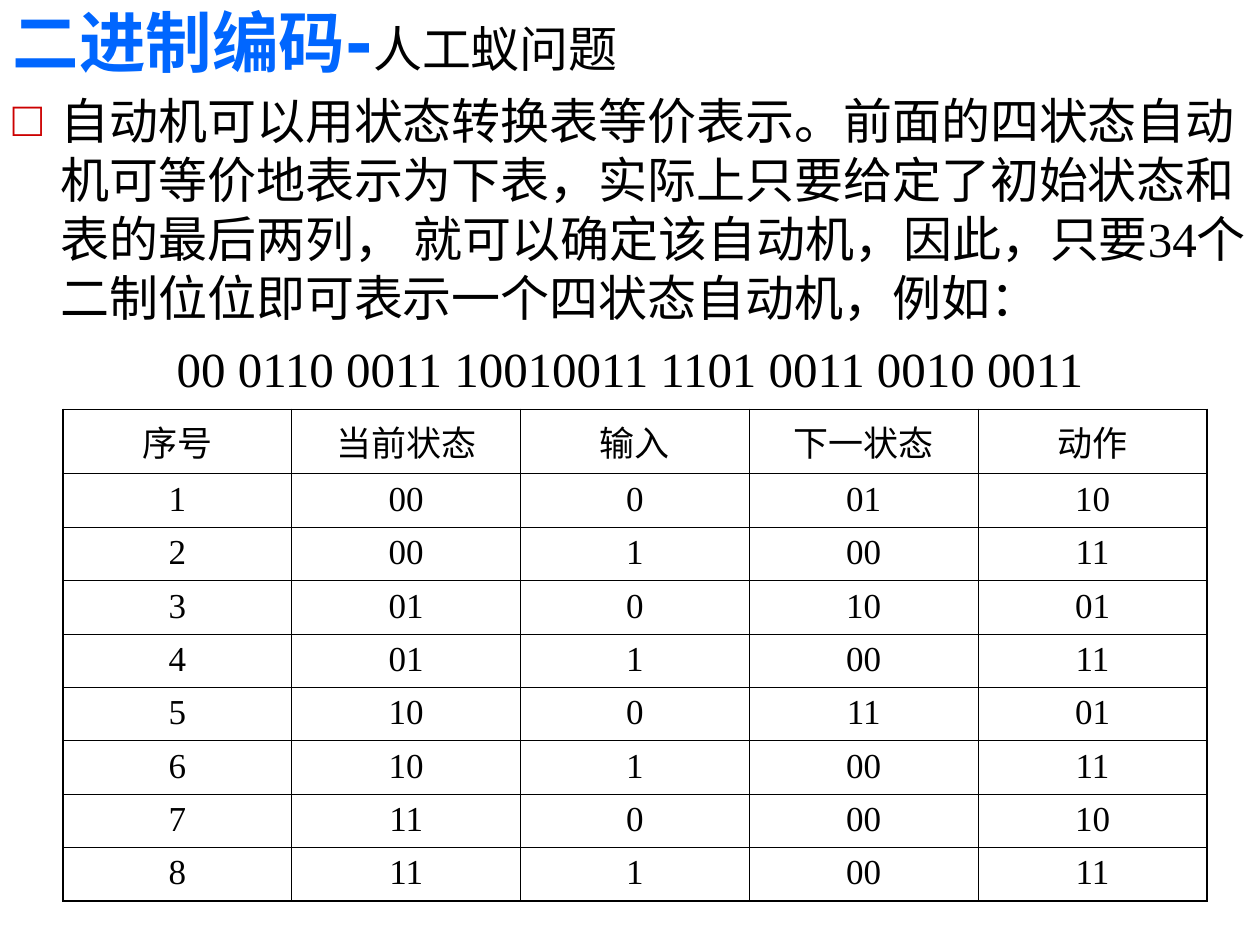
from lxml import etree
from pptx import Presentation
from pptx.dml.color import RGBColor
from pptx.enum.text import MSO_ANCHOR, MSO_AUTO_SIZE, PP_ALIGN
from pptx.oxml.ns import qn
from pptx.util import Inches, Pt

LEFT, CENTER = PP_ALIGN.LEFT, PP_ALIGN.CENTER
TOP, BOTTOM = MSO_ANCHOR.TOP, MSO_ANCHOR.BOTTOM
NO_AUTOFIT = MSO_AUTO_SIZE.NONE

COLORS = {"heading": "0066FF", "text": "000000", "bullet": "CC0000", "border": "000000"}
HEADING_FONT, TEXT_FONT = "DejaVu Sans", "Times New Roman"

HEADING = "二进制编码-"
TOPIC = "人工蚁问题"
EXPLANATION = (
    "自动机可以用状态转换表等价表示。前面的四状态自动机可等价地表示为下表，"
    "实际上只要给定了初始状态和表的最后两列， 就可以确定该自动机，因此，"
    "只要34个二制位位即可表示一个四状态自动机，例如："
)
ENCODING = "00 0110 0011 10010011 1101 0011 0010 0011"
TRANSITIONS = [
    ("序号", "当前状态", "输入", "下一状态", "动作"),
    ("1", "00", "0", "01", "10"),
    ("2", "00", "1", "00", "11"),
    ("3", "01", "0", "10", "01"),
    ("4", "01", "1", "00", "11"),
    ("5", "10", "0", "11", "01"),
    ("6", "10", "1", "00", "11"),
    ("7", "11", "0", "00", "10"),
    ("8", "11", "1", "00", "11"),
]
TABLE_BOX = (0.5, 3.25, 9.08, 3.9)
HEADER_HEIGHT = 0.51
OUTER_LINE, INNER_LINE = 1.08, 0.45


def place(placeholder, box, anchor):
    placeholder.left, placeholder.top, placeholder.width, placeholder.height = map(Inches, box)
    frame = placeholder.text_frame
    frame.auto_size = NO_AUTOFIT
    frame.word_wrap = True
    frame.vertical_anchor = anchor
    return frame


def add_run(paragraph, text, size, font=TEXT_FONT, color="text", bold=False):
    run = paragraph.add_run()
    run.text = text
    run.font.size = Pt(size)
    run.font.name = font
    run.font.bold = bold
    run.font.color.rgb = RGBColor.from_string(COLORS[color])


def set_bullet(paragraph, char=None):
    properties = paragraph._p.get_or_add_pPr()
    properties.set("marL", str(Inches(0.38)))
    properties.set("indent", str(-Inches(0.38)))
    if char is None:
        etree.SubElement(properties, qn("a:buNone"))
        return
    bullet_color = etree.SubElement(properties, qn("a:buClr"))
    etree.SubElement(bullet_color, qn("a:srgbClr"), val=COLORS["bullet"])
    etree.SubElement(properties, qn("a:buFont"), typeface=TEXT_FONT)
    etree.SubElement(properties, qn("a:buChar"), char=char)


def set_borders(cell, outer_sides):
    properties = cell._tc.get_or_add_tcPr()
    for side in "LRTB":
        width = OUTER_LINE if side in outer_sides else INNER_LINE
        line = etree.SubElement(properties, qn(f"a:ln{side}"), w=str(Pt(width)))
        fill = etree.SubElement(line, qn("a:solidFill"))
        etree.SubElement(fill, qn("a:srgbClr"), val=COLORS["border"])


def add_title(slide):
    title = place(slide.shapes.title, (0, 0, 8.58, 0.69), BOTTOM).paragraphs[0]
    title.alignment = LEFT
    add_run(title, HEADING, 38, HEADING_FONT, "heading", True)
    add_run(title, TOPIC, 28, HEADING_FONT)


def add_body(slide):
    body = place(slide.placeholders[1], (0, 0.67, 10, 6.83), TOP)
    explanation, encoding = body.paragraphs[0], body.add_paragraph()
    explanation.space_before = Pt(0)
    set_bullet(explanation, "□")
    add_run(explanation, EXPLANATION, 28)
    encoding.space_before = Pt(7)
    encoding.alignment = CENTER
    set_bullet(encoding)
    add_run(encoding, ENCODING, 28)


def add_transitions(slide):
    row_count, column_count = len(TRANSITIONS), len(TRANSITIONS[0])
    table = slide.shapes.add_table(row_count, column_count, *map(Inches, TABLE_BOX)).table
    table.horz_banding = False
    table.first_row = False
    for column in table.columns:
        column.width = Inches(TABLE_BOX[2] / column_count)
    for r, values in enumerate(TRANSITIONS):
        row_height = (TABLE_BOX[3] - HEADER_HEIGHT) / (row_count - 1) if r else HEADER_HEIGHT
        table.rows[r].height = Inches(row_height)
        for c, value in enumerate(values):
            cell = table.cell(r, c)
            edges = {"L": c == 0, "R": c == column_count - 1, "T": r == 0, "B": r == row_count - 1}
            set_borders(cell, [side for side, is_outer in edges.items() if is_outer])
            cell.fill.background()
            paragraph = cell.text_frame.paragraphs[0]
            paragraph.alignment = CENTER
            add_run(paragraph, value, 20)


def main():
    """Build the slide on binary encoding of the artificial ant automaton."""
    presentation = Presentation()
    presentation.slide_width, presentation.slide_height = Inches(10), Inches(7.5)
    slide = presentation.slides.add_slide(presentation.slide_layouts[1])
    add_title(slide)
    add_body(slide)
    add_transitions(slide)
    presentation.save("out.pptx")


if __name__ == "__main__":
    main()
